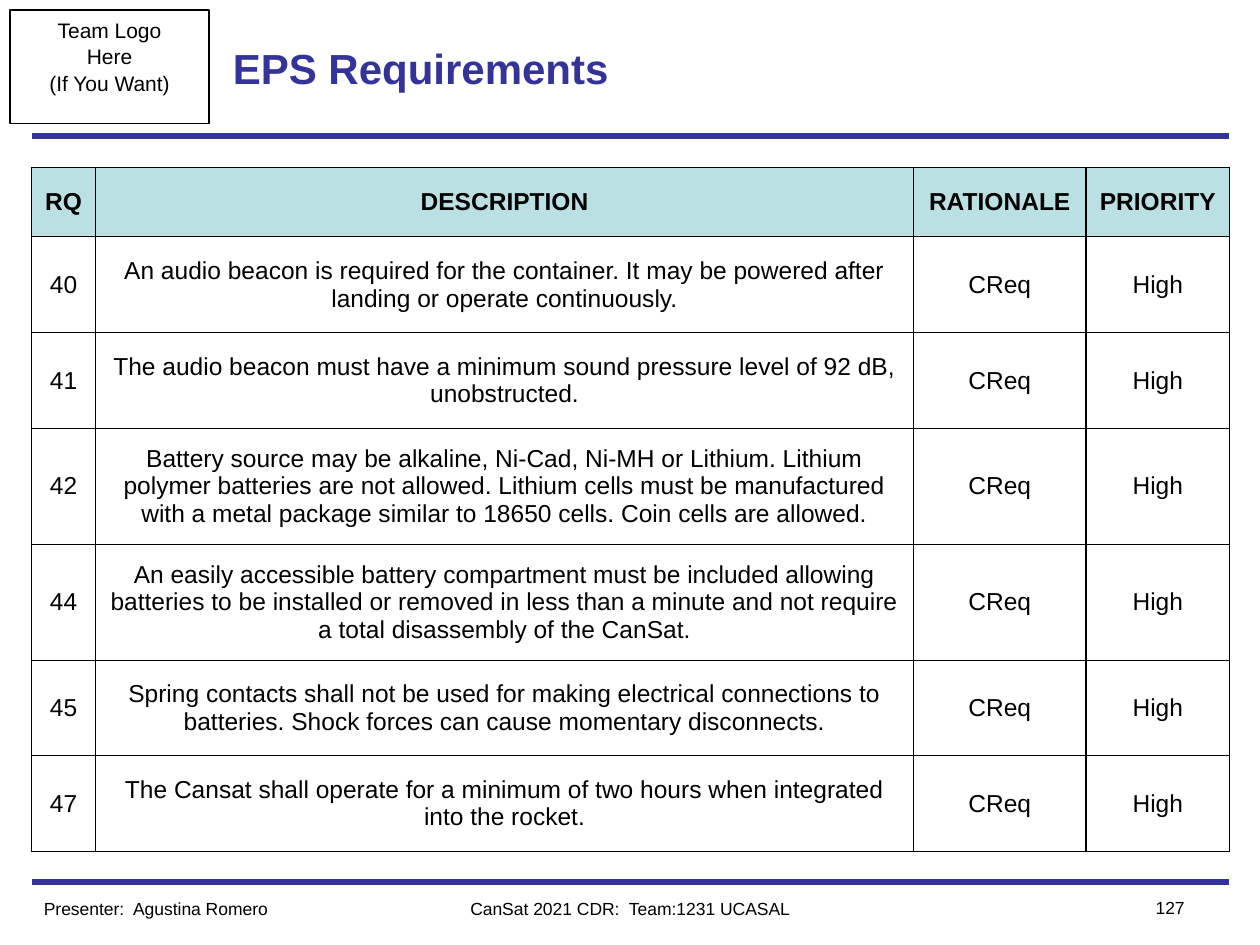
from lxml.etree import SubElement
from pptx import Presentation
from pptx.dml.color import RGBColor
from pptx.enum.shapes import MSO_CONNECTOR, MSO_SHAPE
from pptx.enum.text import MSO_ANCHOR, PP_ALIGN
from pptx.oxml import parse_xml
from pptx.oxml.ns import nsdecls, qn
from pptx.util import Inches, Pt

NAVY, BLACK, TEAL = "333399", "000000", "BBE0E3"
LEFT, CENTER, RIGHT = PP_ALIGN.LEFT, PP_ALIGN.CENTER, PP_ALIGN.RIGHT

LOGO_LINES = ["Team Logo", "Here", "(If You Want)"]
TITLE = ("EPS Requirements", (1.75, 0.08, 6.5, 0.92), LEFT)
FOOTERS = [
    ("Presenter:  Agustina Romero", (0.25, 7.08, 2.5, 0.27), LEFT),
    ("CanSat 2021 CDR:  Team:1231 UCASAL", (3, 7.08, 4, 0.27), CENTER),
    ("127", (8.75, 7.07, 0.75, 0.27), RIGHT),
]
RULES = [1.08, 7]
HEADERS = ["RQ", "DESCRIPTION", "RATIONALE", "PRIORITY"]
REQUIREMENTS = [
    ("40", "An audio beacon is required for the container. It may be powered "
     "after landing or operate continuously."),
    ("41", "The audio beacon must have a minimum sound pressure level of 92 dB, "
     "unobstructed."),
    ("42", "Battery source may be alkaline, Ni-Cad, Ni-MH or Lithium. Lithium "
     "polymer batteries are not allowed. Lithium cells must be manufactured "
     "with a metal package similar to 18650 cells. Coin cells are allowed."),
    ("44", "An easily accessible battery compartment must be included allowing "
     "batteries to be installed or removed in less than a minute and not "
     "require a total disassembly of the CanSat."),
    ("45", "Spring contacts shall not be used for making electrical connections "
     "to batteries. Shock forces can cause momentary disconnects."),
    ("47", "The Cansat shall operate for a minimum of two hours when integrated "
     "into the rocket."),
]
COL_WIDTHS = [0.51, 6.49, 1.37, 1.14]
ROW_HEIGHTS = [0.55, 0.76, 0.76, 0.92, 0.92, 0.76, 0.76]


def rgb(color):
    """Turn a hex string into a colour."""
    return RGBColor.from_string(color)


def style(p, size, align, color=BLACK, bold=False):
    """Set the font and alignment of a paragraph."""
    p.alignment = align
    p.font.name, p.font.size, p.font.bold = "Arial", Pt(size), bold
    p.font.color.rgb = rgb(color)


def add_text(slide, text, box, align, size, color=BLACK, bold=False,
             anchor=MSO_ANCHOR.TOP):
    """Add a one-paragraph text box."""
    tf = slide.shapes.add_textbox(*map(Inches, box)).text_frame
    tf.word_wrap, tf.vertical_anchor = True, anchor
    tf.text = text
    style(tf.paragraphs[0], size, align, color, bold)


def add_rule(slide, y):
    """Add a thick horizontal rule across the slide."""
    line = slide.shapes.add_connector(
        MSO_CONNECTOR.STRAIGHT, Inches(0.25), Inches(y), Inches(9.75), Inches(y))
    line.line.color.rgb, line.line.width = rgb(NAVY), Pt(3)
    SubElement(line._element.spPr, qn("a:effectLst"))


def add_logo_box(slide):
    """Add the outlined box reserved for the team logo."""
    sp = slide.shapes.add_shape(
        MSO_SHAPE.RECTANGLE, *map(Inches, (0.08, 0.08, 1.58, 0.9)))
    sp.shadow.inherit = False
    sp.fill.background()
    sp.line.color.rgb, sp.line.width = rgb(BLACK), Pt(0.75)
    tf = sp.text_frame
    tf.word_wrap, tf.vertical_anchor = True, MSO_ANCHOR.TOP
    tf.text = "\n".join(LOGO_LINES)
    for p in tf.paragraphs:
        style(p, 12, CENTER)
        p.line_spacing = 1.05


def add_borders(cell):
    """Draw a thin black border on all four sides of a cell."""
    tcPr = cell._tc.get_or_add_tcPr()
    for i, side in enumerate(("lnL", "lnR", "lnT", "lnB")):
        tcPr.insert(i, parse_xml(
            f'<a:{side} {nsdecls("a")} w="{Pt(0.75)}"><a:solidFill>'
            f'<a:srgbClr val="{BLACK}"/></a:solidFill></a:{side}>'))


def add_requirements(slide):
    """Add the table of requirements."""
    rows = [HEADERS] + [(*req, "CReq", "High") for req in REQUIREMENTS]
    table = slide.shapes.add_table(
        len(rows), len(HEADERS), Inches(0.25), Inches(1.33),
        Inches(sum(COL_WIDTHS)), Inches(sum(ROW_HEIGHTS))).table
    for col, width in zip(table.columns, COL_WIDTHS):
        col.width = Inches(width)
    for r, (row, height) in enumerate(zip(rows, ROW_HEIGHTS)):
        table.rows[r].height = Inches(height)
        for c, text in enumerate(row):
            cell = table.cell(r, c)
            cell.text, cell.vertical_anchor = text, MSO_ANCHOR.MIDDLE
            cell.margin_left = cell.margin_right = Inches(0.1)
            cell.margin_top = cell.margin_bottom = Inches(0.1)
            style(cell.text_frame.paragraphs[0], 14, CENTER, bold=r == 0)
            if r == 0:
                cell.fill.solid()
                cell.fill.fore_color.rgb = rgb(TEAL)
            else:
                cell.fill.background()
            add_borders(cell)


def main():
    """Build the slide and save it."""
    prs = Presentation()
    prs.slide_width, prs.slide_height = Inches(10), Inches(7.5)
    slide = prs.slides.add_slide(prs.slide_layouts[6])
    for y in RULES:
        add_rule(slide, y)
    add_logo_box(slide)
    add_text(slide, *TITLE, 24, NAVY, True, MSO_ANCHOR.MIDDLE)
    for footer in FOOTERS:
        add_text(slide, *footer, 10)
    add_requirements(slide)
    prs.save("out.pptx")


if __name__ == "__main__":
    main()
